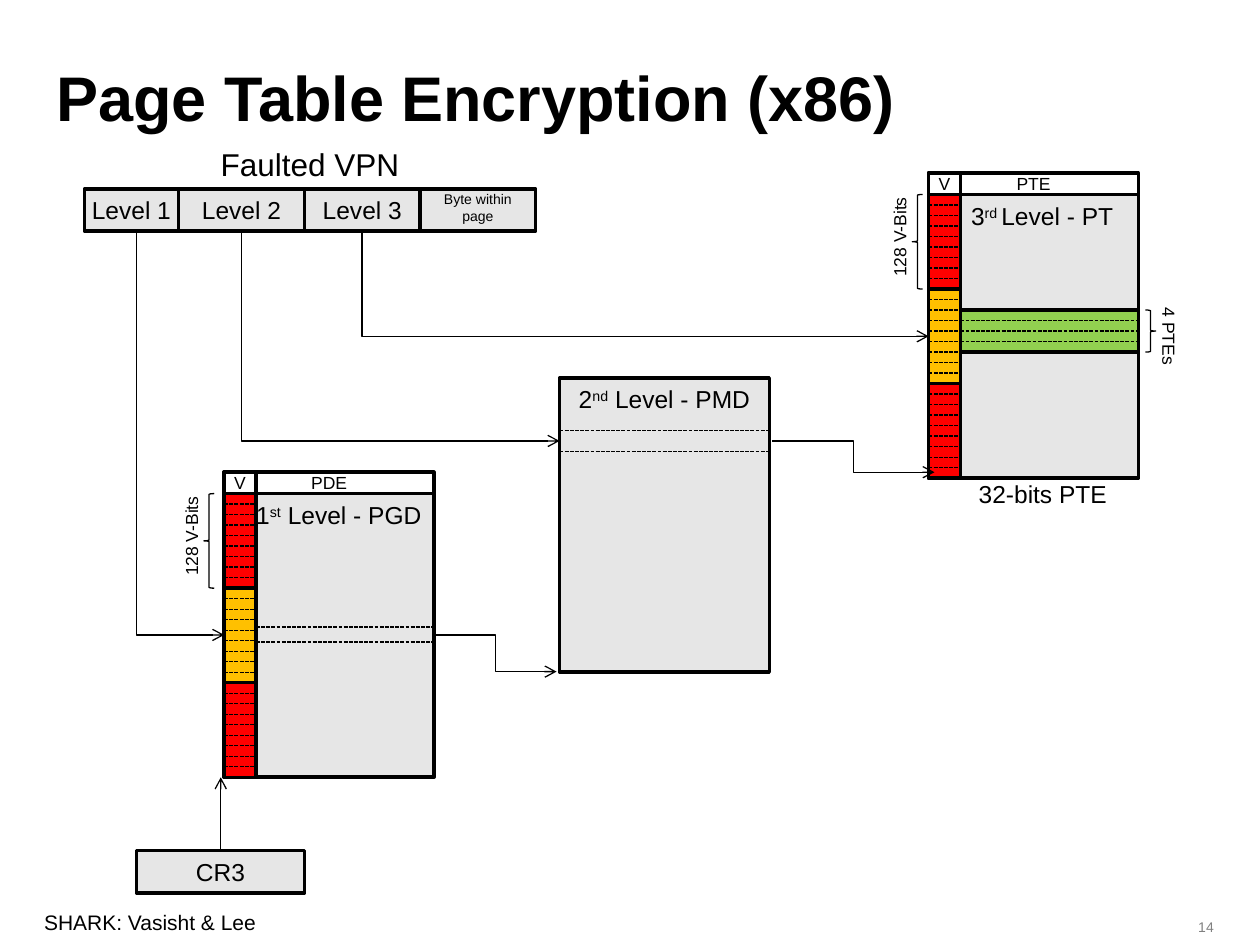
from lxml.etree import SubElement
from pptx import Presentation
from pptx.dml.color import RGBColor
from pptx.enum.dml import MSO_LINE
from pptx.enum.shapes import MSO_CONNECTOR as Link, MSO_SHAPE as Form
from pptx.enum.text import MSO_ANCHOR as Anchor, PP_ALIGN as Align
from pptx.oxml.ns import qn
from pptx.util import Cm, Pt

COLORS = {
    "ink": "000000", "paper": "FFFFFF", "gray": "E6E6E6", "red": "FF0000",
    "amber": "FFC000", "green": "92D050", "muted": "808080",
}

prs = Presentation()
prs.slide_width, prs.slide_height = Cm(25.4), Cm(19.05)
shapes = prs.slides.add_slide(prs.slide_layouts[6]).shapes


def block(place, text="", size=14, fill=None, align=Align.CENTER, anchor=Anchor.TOP,
          left=0.25, right=0.25, top=0.13, wrap=True, bold=False, ink="ink", turn=0):
    spot = [Cm(v) for v in place]
    if fill:
        item = shapes.add_shape(Form.RECTANGLE, *spot)
        item.shadow.inherit = False
        item.fill.solid()
        item.fill.fore_color.rgb = RGBColor.from_string(COLORS[fill])
        item.line.color.rgb = RGBColor.from_string(COLORS["ink"])
        item.line.width = Pt(2)
    else:
        item = shapes.add_textbox(*spot)
    item.rotation = turn
    if not text:
        return
    frame = item.text_frame
    layout = {"word_wrap": wrap, "vertical_anchor": anchor, "margin_left": Cm(left),
              "margin_right": Cm(right), "margin_top": Cm(top), "margin_bottom": Cm(top)}
    for name, value in layout.items():
        setattr(frame, name, value)
    line = frame.paragraphs[0]
    line.alignment = align
    for i, part in enumerate(text.split("^")):
        run = line.add_run()
        run.text = part
        for name, value in {"size": Pt(size), "name": "Arial", "bold": bold}.items():
            setattr(run.font, name, value)
        run.font.color.rgb = RGBColor.from_string(COLORS[ink])
        if i % 2:
            run._r.get_or_add_rPr().set("baseline", "30000")


def wire(x1, y1, x2, y2, kind=Link.STRAIGHT, arrow=False):
    link = shapes.add_connector(kind, Cm(x1), Cm(y1), Cm(x2), Cm(y2))
    link.line.color.rgb = RGBColor.from_string(COLORS["ink"])
    link.line.width = Pt(0.75)
    SubElement(link._element.spPr, qn("a:effectLst"))
    if arrow:
        SubElement(link.line._get_or_add_ln(), qn("a:tailEnd"), type="arrow")
    else:
        link.line.dash_style = MSO_LINE.SQUARE_DOT
    return link


block((0.64, 18.21, 7.42, 0.76), "SHARK: Vasisht & Lee", 12, align=Align.LEFT)
block((0.89, 0.89, 22.86, 2.11), "Page Table Encryption (x86)", 36,
      align=Align.LEFT, anchor=Anchor.MIDDLE, bold=True)
block((23.04, 18.39, 1.68, 0.43), "14", 8, align=Align.RIGHT, ink="muted")

table_w, table_h, bit_w, header_h = 4.23, 5.72, 0.64, 0.43
band_h = table_h / 3
row_h = band_h / 9
tables = [
    (4.52, 9.95, "1^st^ Level - PGD", "PDE", Align.RIGHT, 0.25, 0.41),
    (18.72, 3.92, "3^rd ^Level - PT", "PTE", Align.CENTER, 0.6, 0.33),
]
braces = [(Form.RIGHT_BRACE, 23.09, 6.25, 0.85)]
for x, y, title, entry, align, indent, brace_gap in tables:
    block((x, y, table_w, table_h), title, fill="gray", align=align, left=indent)
    for i, color in enumerate(["red", "amber", "red"]):
        block((x, y + i * band_h, bit_w, band_h), fill=color)
    for row in range(1, 27):
        if row % 9:
            wire(x, y + row * row_h, x + bit_w, y + row * row_h)
    for width, label in [(table_w, entry), (bit_w, "V")]:
        block((x, y - header_h, width, header_h), label, 10, "paper",
              anchor=Anchor.MIDDLE, left=0, right=0, top=0)
    braces.append((Form.LEFT_BRACE, x - brace_gap, y, band_h))
    block((x - brace_gap - 1.34, y + 0.31, 2.34, 0.86), "128 V-Bits", 10,
          align=Align.LEFT, turn=270)

for form, x, y, height in braces:
    brace = shapes.add_shape(form, Cm(x), Cm(y), Cm(0.21), Cm(height))
    brace.shadow.inherit = False
    brace.fill.background()
    brace.line.color.rgb = RGBColor.from_string(COLORS["ink"])
    brace.line.width = Pt(0.75)

block((19.36, 6.25, 3.59, 4 * row_h), fill="green")
for row in range(1, 4):
    wire(19.36, 6.25 + row * row_h, 22.95, 6.25 + row * row_h)
block((22.4, 6.78, 2.34, 0.69), "4 PTEs", 10, align=Align.LEFT, turn=90)
block((19.48, 9.52, 3.1, 0.86), "32-bits PTE", align=Align.LEFT, wrap=False)

block((11.28, 7.62, 4.23, 5.93), "2^nd^ Level - PMD", fill="gray")
for x1, x2, y in [(5.16, 8.75, 12.64), (5.16, 8.75, 12.94),
                  (11.28, 15.51, 8.68), (11.28, 15.51, 9.1)]:
    wire(x1, y, x2, y)

block((1.7, 2.79, 9.1, 1.02), "Faulted VPN", 18)
field_x = 1.7
for width, label, size, side, top in [
    (1.9, "Level 1", 14, 0, 0.13), (2.54, "Level 2", 14, 0.25, 0.13),
    (2.33, "Level 3", 14, 0.25, 0.13), (2.33, "Byte within page", 8, 0.25, 0.03),
]:
    block((field_x, 3.81, width, 0.85), label, size, "gray",
          left=side, right=side, top=top)
    field_x += width

block((2.75, 17.15, 3.39, 0.85), "CR3", fill="gray")
wire(4.45, 17.15, 4.45, 15.67, arrow=True)
wire(8.75, 12.8, 11.22, 13.54, Link.ELBOW, True)
wire(15.57, 8.89, 18.84, 9.52, Link.ELBOW, True)

for x1, x2, y2 in [(2.75, 4.52, 12.8), (4.87, 11.28, 8.89), (7.3, 18.72, 6.78)]:
    across, down = x2 - x1, y2 - 4.66
    left, top = (x1 + x2 - down) / 2, (4.66 + y2 - across) / 2
    lookup = wire(left + down, top, left, top + across, Link.ELBOW, True)
    lookup._element.spPr.find(qn("a:prstGeom")).set("prst", "bentConnector2")
    lookup._element.spPr.find(qn("a:xfrm")).set("rot", "16200000")

prs.save("out.pptx")
